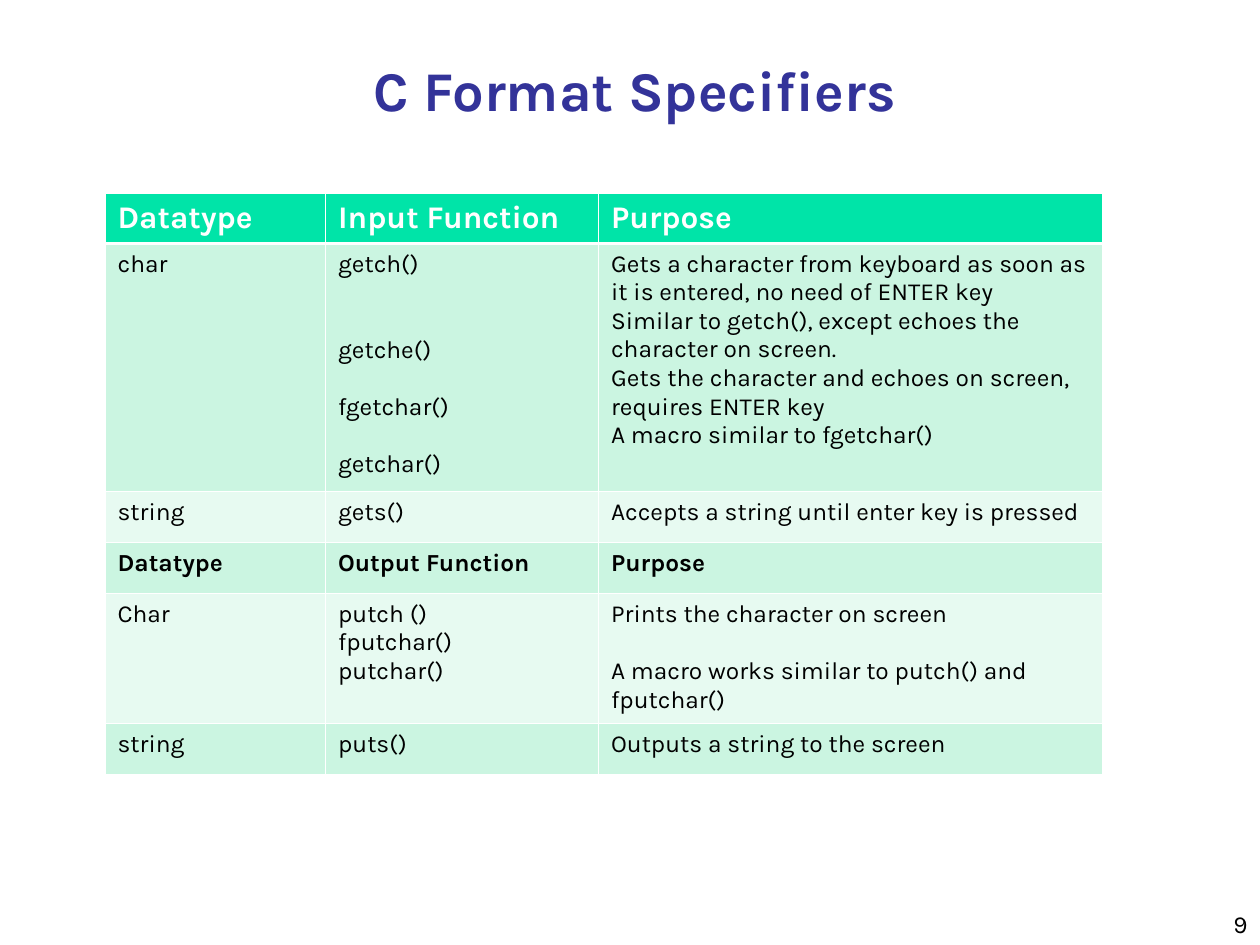
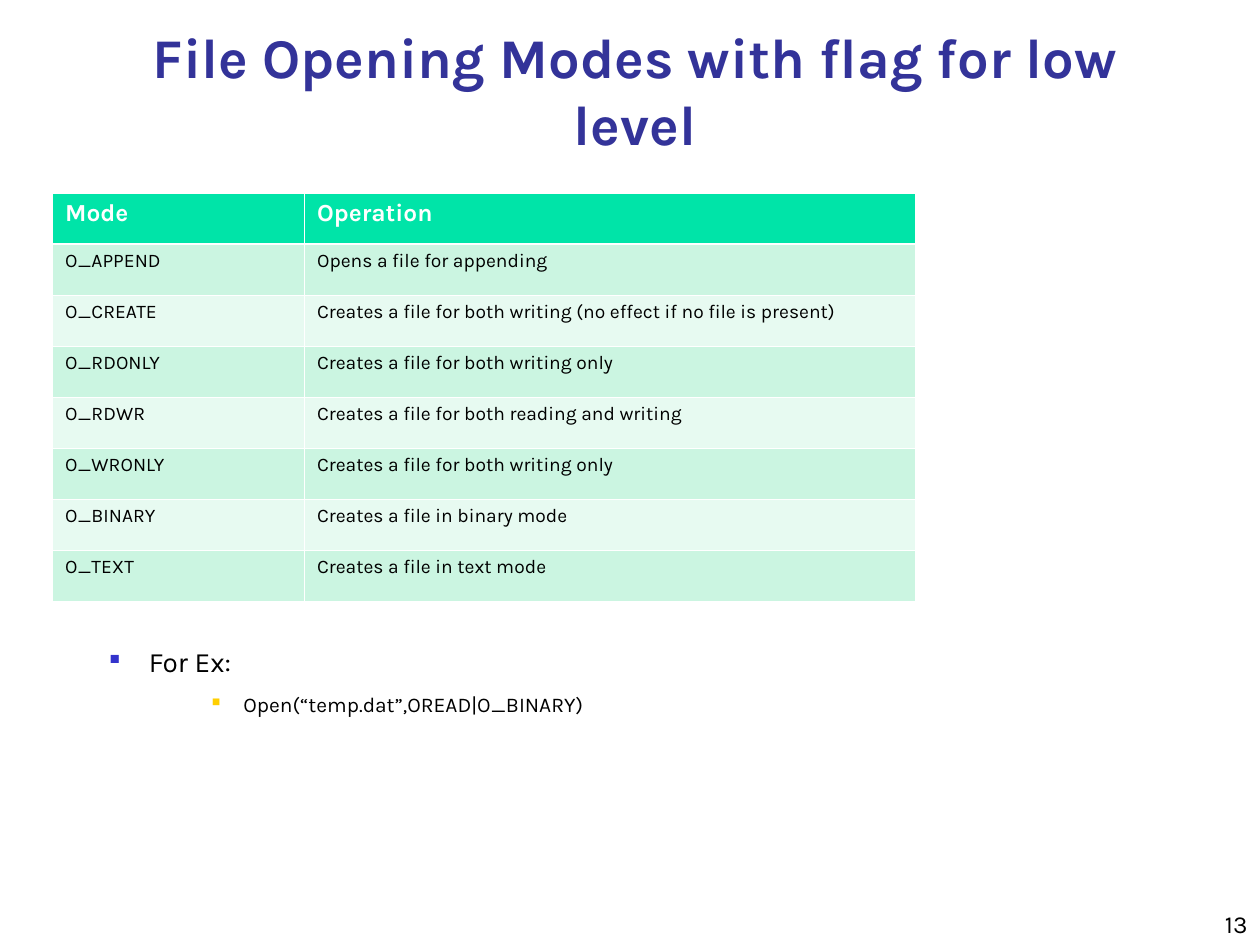
from lxml import etree
from pptx import Presentation
from pptx.dml.color import RGBColor
from pptx.enum.text import MSO_ANCHOR, PP_ALIGN
from pptx.oxml.ns import qn
from pptx.util import Pt

MIDDLE, BOTTOM = MSO_ANCHOR.MIDDLE, MSO_ANCHOR.BOTTOM
LEFT, CENTER, RIGHT = PP_ALIGN.LEFT, PP_ALIGN.CENTER, PP_ALIGN.RIGHT

NAVY = RGBColor(0x33, 0x33, 0x99)
BLUE = RGBColor(0x33, 0x33, 0xCC)
GOLD = RGBColor(0xFF, 0xCF, 0x01)
BLACK = RGBColor(0, 0, 0)
WHITE = RGBColor(0xFF, 0xFF, 0xFF)
GREEN = RGBColor(0x00, 0xE4, 0xA8)
BANDS = [RGBColor(0xE7, 0xFA, 0xF1), RGBColor(0xCB, 0xF5, 0xE1)]

FONT = "Karla"
LINE = 16.37  # height of one 14 pt line


def write(p, text, size, color=BLACK, bold=False, align=LEFT):
    p.alignment = align
    r = p.add_run()
    r.text = text
    for name, value in {"name": FONT, "size": Pt(size), "bold": bold}.items():
        setattr(r.font, name, value)
    r.font.color.rgb = color


def set_border(cell, side, width):
    ln = etree.SubElement(cell._tc.get_or_add_tcPr(), qn(f"a:ln{side}"), w=str(Pt(width)))
    fill = etree.SubElement(ln, qn("a:solidFill"))
    etree.SubElement(fill, qn("a:srgbClr"), val=str(WHITE))


# Slide contents; a cell is a text or a list of (text, blank lines above)
slides = [
    {
        "title": "C Format Specifiers", "title_top": 24, "title_height": 54, "number": "9",
        "left": 60, "cols": [126, 156, 288], "heights": [28.8, 141.8, 29.3, 29, 74.2, 29],
        "head_size": 18, "size": 14, "bold_rows": [0, 3],
        "rows": [
            ["Datatype", "Input Function", "Purpose"],
            ["char",
             [("getch()", 0), ("getche()", 2), ("fgetchar()", 1), ("getchar()", 1)],
             [("Gets a character from keyboard as soon as it is entered, no need of ENTER key", 0),
              ("Similar to getch(), except echoes the character on screen.", 0),
              ("Gets the character and echoes on screen, requires ENTER key", 0),
              ("A macro similar to fgetchar()", 0)]],
            ["string", "gets()", "Accepts a string until enter key is pressed"],
            ["Datatype", "Output Function", "Purpose"],
            ["Char",
             [("putch ()", 0), ("fputchar()", 0), ("putchar()", 0)],
             [("Prints the character on screen", 0),
              ("A macro works similar to putch() and fputchar()", 1)]],
            ["string", "puts()", "Outputs a string to the screen"],
        ],
        "bullets": [],
    },
    {
        "title": "File Opening Modes with flag for low level",
        "title_top": 12, "title_height": 78, "number": "13",
        "left": 30, "cols": [144, 349.2], "heights": [29.16] * 8,
        "head_size": 14, "size": 11, "bold_rows": [0],
        "rows": [
            ["Mode", "Operation"],
            ["O_APPEND", "Opens a file for appending"],
            ["O_CREATE", "Creates a file for both writing (no effect if no file is present)"],
            ["O_RDONLY", "Creates a file for both writing only"],
            ["O_RDWR", "Creates a file for both reading and writing"],
            ["O_WRONLY", "Creates a file for both writing only"],
            ["O_BINARY", "Creates a file in binary mode"],
            ["O_TEXT", "Creates a file in text mode"],
        ],
        # text, level, size, margin, indent, line spacing, space before, bullet colour, bullet %
        "bullets": [
            ("For Ex:", 2, 16, 72, -22.5, 1.0, 0, BLUE, 50),
            ("Open(“temp.dat”,OREAD|O_BINARY)", 3, 12, 126, -18, 1.3, 3, GOLD, 55),
        ],
    },
]

prs = Presentation()
prs.slide_width, prs.slide_height = Pt(720), Pt(540)

for content in slides:
    s = prs.slides.add_slide(prs.slide_layouts[5])

    # Title
    sp = s.shapes.title
    sp.left, sp.top = Pt(42), Pt(content["title_top"])
    sp.width, sp.height = Pt(642), Pt(content["title_height"])
    tf = sp.text_frame
    tf.word_wrap, tf.vertical_anchor = True, MIDDLE
    write(tf.paragraphs[0], content["title"], 32, NAVY, True, CENTER)

    # Slide number
    tf = s.shapes.add_textbox(Pt(570), Pt(504), Pt(150), Pt(36)).text_frame
    tf.word_wrap, tf.vertical_anchor = True, BOTTOM
    write(tf.paragraphs[0], content["number"], 14, align=RIGHT)

    # Bulleted example
    if content["bullets"]:
        tf = s.shapes.add_textbox(Pt(6), Pt(365), Pt(702), Pt(157)).text_frame
        tf.word_wrap = True
    for i, (text, level, size, margin, indent, spacing, before, color, percent) in enumerate(content["bullets"]):
        p = tf.add_paragraph() if i else tf.paragraphs[0]
        formats = {"level": level, "line_spacing": spacing, "space_before": Pt(before)}
        for name, value in formats.items():
            setattr(p, name, value)
        write(p, text, size)
        pPr = p._p.get_or_add_pPr()
        pPr.set("marL", str(Pt(margin)))
        pPr.set("indent", str(Pt(indent)))
        bullet_color = etree.SubElement(pPr, qn("a:buClr"))
        etree.SubElement(bullet_color, qn("a:srgbClr"), val=str(color))
        etree.SubElement(pPr, qn("a:buSzPct"), val=str(percent * 1000))
        etree.SubElement(pPr, qn("a:buChar"), char="■")

    # Table
    rows, cols, heights = content["rows"], content["cols"], content["heights"]
    table = s.shapes.add_table(len(rows), len(cols), Pt(content["left"]), Pt(110.25),
                               Pt(sum(cols)), Pt(sum(heights))).table
    for column, width in zip(table.columns, cols):
        column.width = Pt(width)
    for i, row in enumerate(rows):
        table.rows[i].height = Pt(heights[i])
        for j, entry in enumerate(row):
            cell = table.cell(i, j)
            for side in "LRTB":
                heavy = (i, side) in [(0, "B"), (1, "T")]
                set_border(cell, side, 1.5 if heavy else 0.45)
            cell.fill.solid()
            cell.fill.fore_color.rgb = BANDS[i % 2] if i else GREEN
            lines = [(entry, 0)] if isinstance(entry, str) else entry
            for k, (text, blanks) in enumerate(lines):
                p = cell.text_frame.add_paragraph() if k else cell.text_frame.paragraphs[0]
                p.space_before = Pt(blanks * LINE)
                write(p, text, content["size"] if i else content["head_size"],
                      BLACK if i else WHITE, i in content["bold_rows"])

prs.save("out.pptx")
